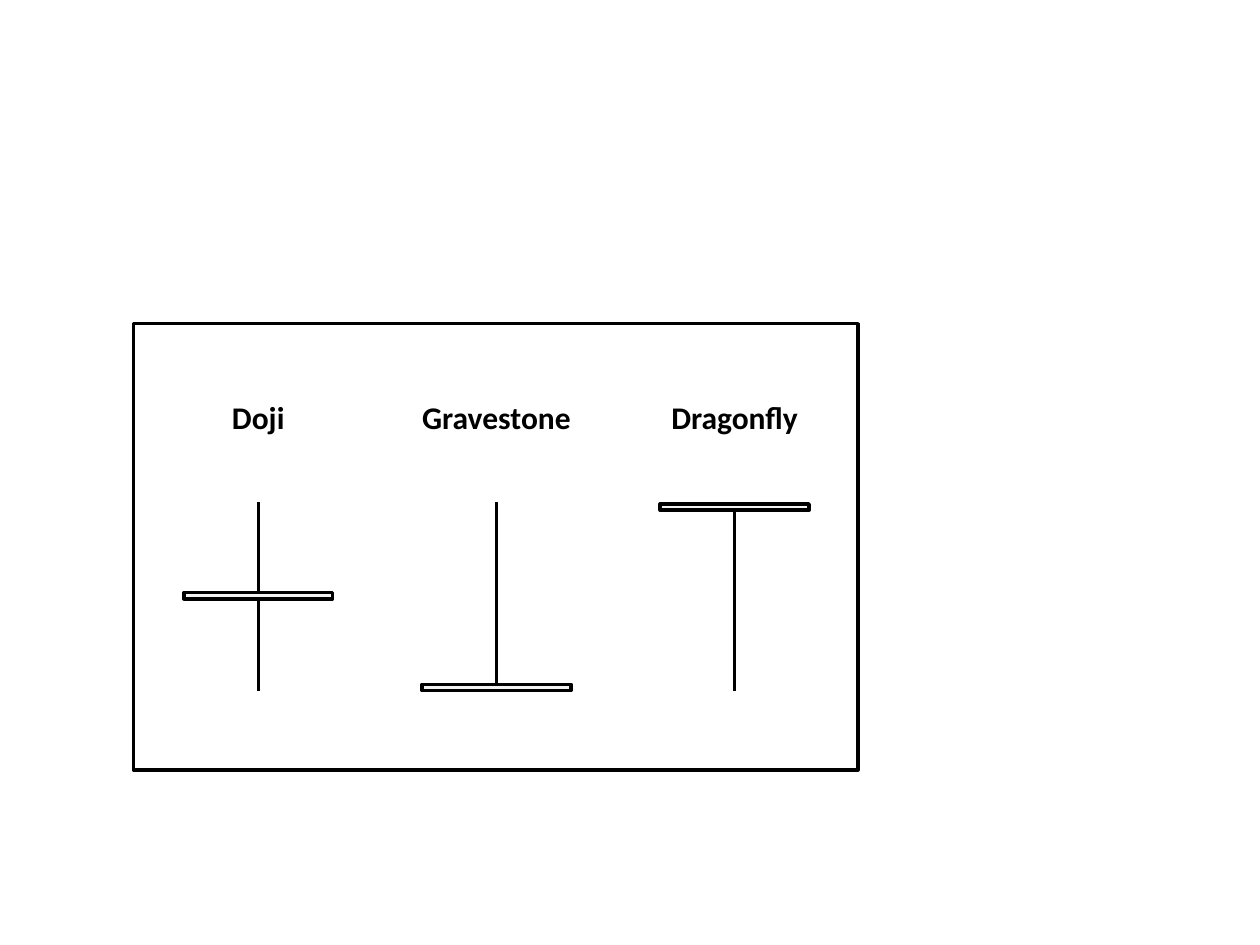
import pptx
import pptx.dml.color
import pptx.enum.shapes
import pptx.enum.text
import pptx.oxml
import pptx.oxml.ns
import pptx.util

Pt = pptx.util.Pt
COLORS = {"ink": "000000", "body": "F2F2F2"}

FIRST_CENTER, STEP = 147.6, 136.1
WICK_TOP, WICK_BOTTOM = 287, 395
BODY_WIDTH, BODY_HEIGHT = 85, 3.6
LABEL_TOP, LABEL_WIDTH, LABEL_HEIGHT = 223.7, 113, 29

# Name and top of the candle body
CANDLES = [("Doji", 338.6), ("Gravestone", 391), ("Dragonfly", 288)]


def rgb(name):
    return pptx.dml.color.RGBColor.from_string(COLORS[name])


def add_box(shapes, left, top, width, height, fill=None):
    """Add an outlined rectangle, unfilled unless a colour name is given."""
    sp = shapes.add_shape(pptx.enum.shapes.MSO_SHAPE.RECTANGLE,
                          Pt(left), Pt(top), Pt(width), Pt(height))
    sp.shadow.inherit = False
    if fill:
        sp.fill.solid()
        sp.fill.fore_color.rgb = rgb(fill)
    else:
        sp.fill.background()
    sp.line.color.rgb = rgb("ink")
    sp.line.width = Pt(2)


def add_wick(shapes, x):
    line = shapes.add_connector(pptx.enum.shapes.MSO_CONNECTOR.STRAIGHT,
                                Pt(x), Pt(WICK_BOTTOM), Pt(x), Pt(WICK_TOP))
    line.line.color.rgb = rgb("ink")
    line.line.width = Pt(1.5)
    spPr = line._element.spPr
    spPr.append(pptx.oxml.parse_xml(
        "<a:effectLst %s/>" % pptx.oxml.ns.nsdecls("a")))


def add_label(shapes, x, text):
    """Add a bold label centred on x."""
    sp = shapes.add_textbox(Pt(x - LABEL_WIDTH / 2), Pt(LABEL_TOP),
                            Pt(LABEL_WIDTH), Pt(LABEL_HEIGHT))
    tf = sp.text_frame
    tf.text = text
    tf.word_wrap = True
    tf.auto_size = pptx.enum.text.MSO_AUTO_SIZE.SHAPE_TO_FIT_TEXT
    p = tf.paragraphs[0]
    p.alignment = pptx.enum.text.PP_ALIGN.CENTER
    font = p.runs[0].font
    font.name = "Calibri"
    font.size = Pt(18)
    font.bold = True
    font.color.rgb = rgb("ink")


def add_candle(slide, x, name, body_top):
    shapes = slide.shapes.add_group_shape().shapes
    add_wick(shapes, x)
    add_box(shapes, x - BODY_WIDTH / 2, body_top, BODY_WIDTH, BODY_HEIGHT, "body")
    add_label(shapes, x, name)


def main():
    prs = pptx.Presentation()
    prs.slide_width, prs.slide_height = Pt(720), Pt(540)
    slide = prs.slides.add_slide(prs.slide_layouts[6])
    add_box(slide.shapes, 76.3, 185, 414, 255)
    for i, (name, body_top) in enumerate(CANDLES):
        add_candle(slide, FIRST_CENTER + i * STEP, name, body_top)
    prs.save("out.pptx")


if __name__ == "__main__":
    main()
